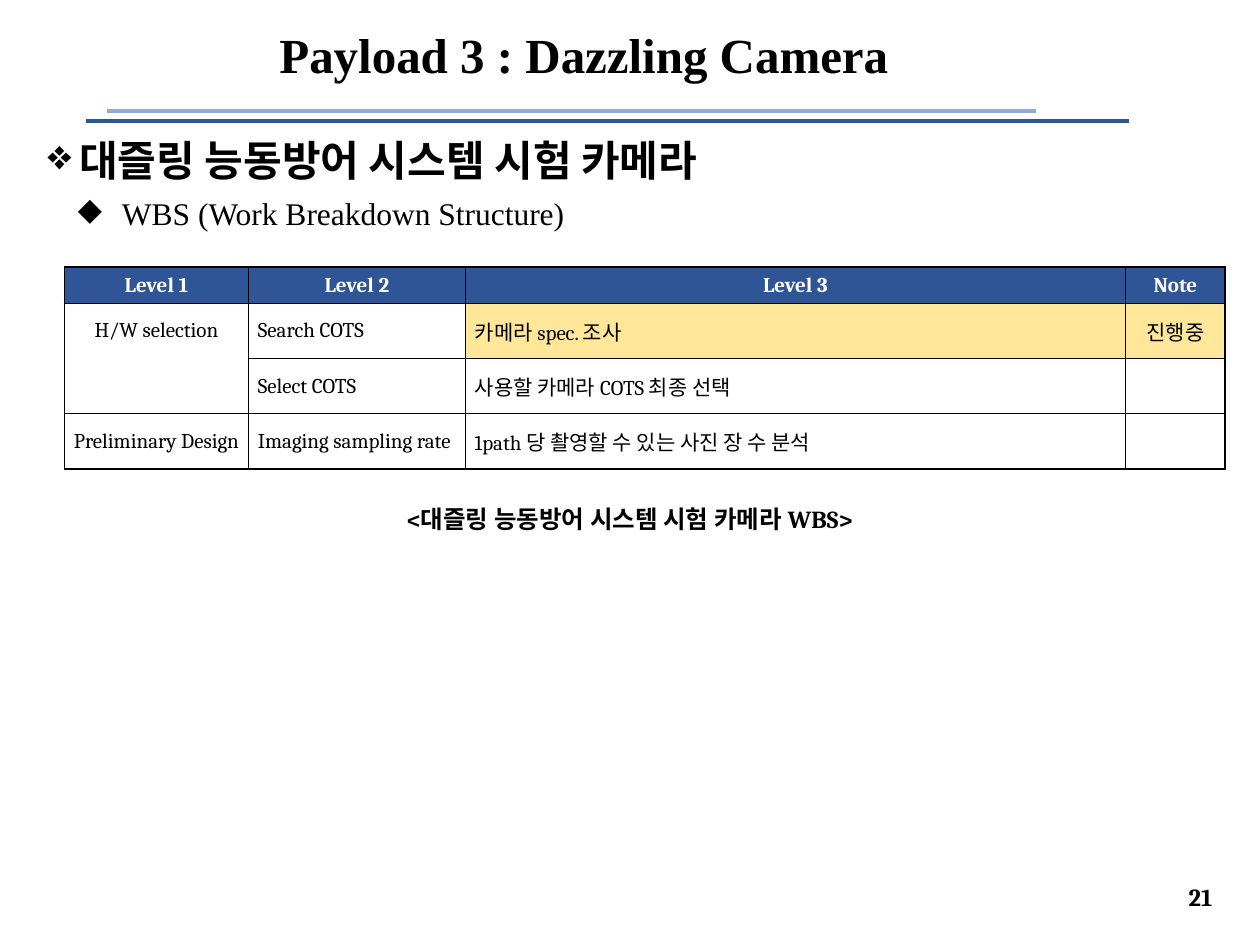
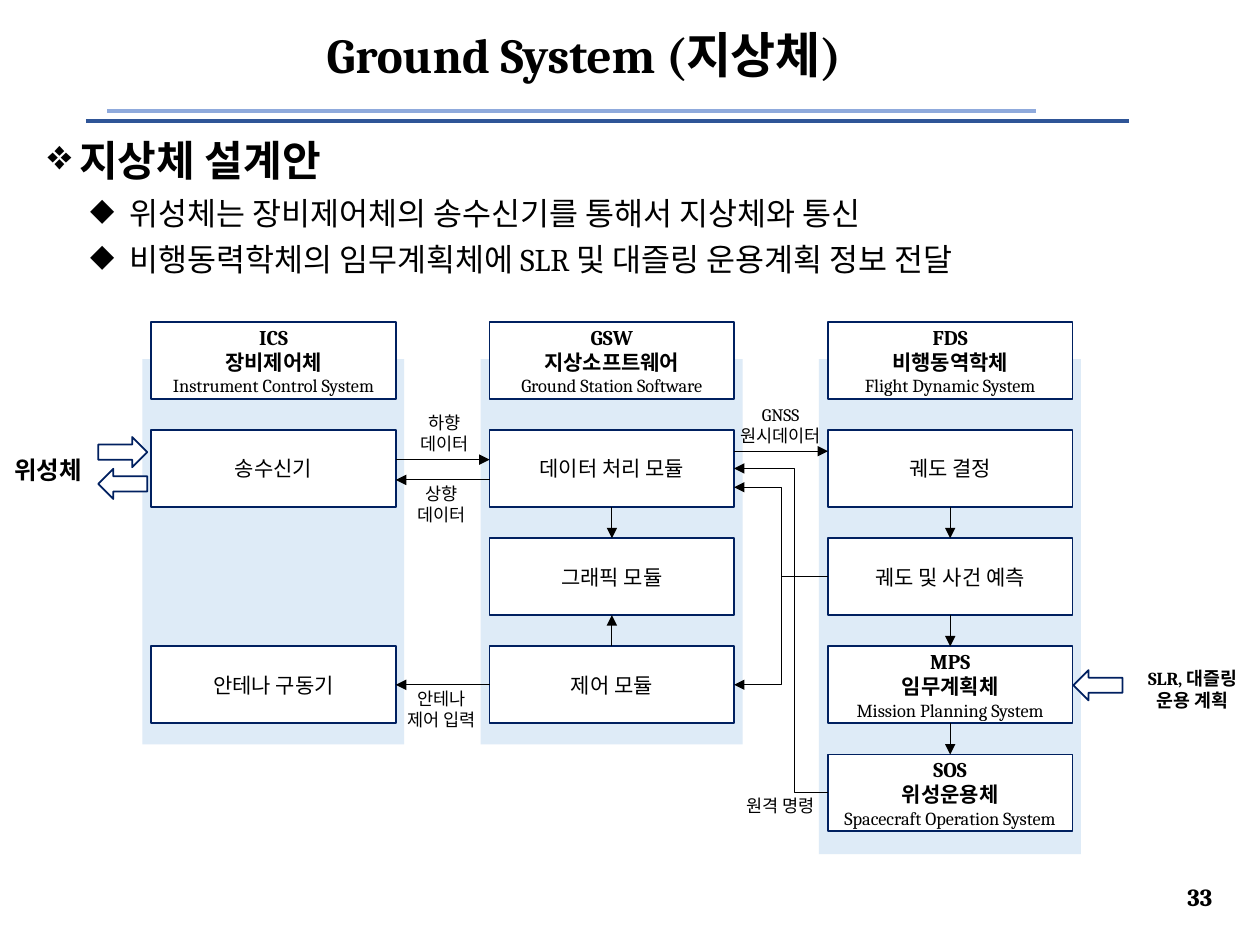
"""Build a camera work-breakdown slide and a ground-system diagram slide."""
import pptx
import pptx.dml.color
import pptx.enum.shapes
import pptx.enum.text
import pptx.oxml
import pptx.oxml.ns
import pptx.util

Cm, Pt = pptx.util.Cm, pptx.util.Pt
RGBColor = pptx.dml.color.RGBColor
SHAPE = pptx.enum.shapes.MSO_SHAPE
CONNECTOR = pptx.enum.shapes.MSO_CONNECTOR
ANCHOR = pptx.enum.text.MSO_ANCHOR
ALIGN = pptx.enum.text.PP_ALIGN

BLACK = RGBColor(0x00, 0x00, 0x00)
WHITE = RGBColor(0xFF, 0xFF, 0xFF)
BLUE = RGBColor(0x2F, 0x55, 0x97)
LIGHT_BLUE = RGBColor(0x8F, 0xAA, 0xDC)
PALE_BLUE = RGBColor(0xDE, 0xEB, 0xF7)
NAVY = RGBColor(0x00, 0x20, 0x60)
YELLOW = RGBColor(0xFF, 0xE6, 0x99)
SERIF, TIMES = "Cambria", "Times New Roman"

CAMERA = {
    "title": "Payload 3 : Dazzling Camera", "font": TIMES, "number": "21",
    "heading": "대즐링 능동방어 시스템 시험 카메라",
    "points": ["WBS (Work Breakdown Structure)"], "indent": (1.5, -0.89),
}
GROUND = {
    "title": "Ground System (지상체)", "font": SERIF, "number": "33",
    "heading": "지상체 설계안",
    "points": ["위성체는 장비제어체의 송수신기를 통해서 지상체와 통신",
               "비행동력학체의 임무계획체에 SLR 및 대즐링 운용계획 정보 전달"],
    "indent": (1.65, -0.79),
}
TITLE_RULES = [(1.73, 22.76, 2.44, BLUE), (2.16, 20.88, 2.24, LIGHT_BLUE)]

WBS = [
    ["Level 1", "Level 2", "Level 3", "Note"],
    ["H/W selection", "Search COTS", "카메라 spec. 조사", "진행중"],
    ["", "Select COTS", "사용할 카메라 COTS 최종 선택", ""],
    ["Preliminary Design", "Imaging sampling rate", "1path 당 촬영할 수 있는 사진 장 수 분석", ""],
]
WBS_CAPTION = "<대즐링 능동방어 시스템 시험 카메라 WBS>"
WBS_WIDTHS = [3.71, 4.37, 13.31, 2.01]
WBS_HEIGHTS = [0.74, 1.11, 1.11, 1.11]
IN_PROGRESS = {(1, 2), (1, 3)}
OPEN_EDGES = {(1, 0): "B", (2, 0): "T"}

PANEL_HEIGHTS = [7.77, 7.77, 9.98]
SYSTEMS = {
    (0, 0): ["ICS", "장비제어체", "Instrument Control System"],
    (1, 0): ["GSW", "지상소프트웨어", "Ground Station Software"],
    (2, 0): ["FDS", "비행동역학체", "Flight Dynamic System"],
    (2, 3): ["MPS", "임무계획체", "Mission Planning System"],
    (2, 4): ["SOS", "위성운용체", "Spacecraft Operation System"],
}
MODULES = {
    (0, 1): "송수신기", (0, 3): "안테나 구동기",
    (1, 1): "데이터 처리 모듈", (1, 2): "그래픽 모듈", (1, 3): "제어 모듈",
    (2, 1): "궤도 결정", (2, 2): "궤도 및 사건 예측",
}
VERTICAL_FLOWS = [(1, 1, 2), (1, 3, 2), (2, 1, 2), (2, 2, 3), (2, 3, 4)]
SIDE_FLOWS = [
    ((0, 1, -0.18), (1, 1, -0.18), None),
    ((1, 1, 0.23), (0, 1, 0.23), None),
    ((1, 1, -0.35), (2, 1, -0.35), None),
    ((1, 3, 0), (0, 3, 0), None),
    ((2, 2, 0), (1, 1, 0.38), 50000),
    ((2, 2, 0), (1, 3, 0), 50000),
    ((2, 4, 0), (1, 1, 0), 35100),
]
FLOW_LABELS = [
    (8.03, 8.31, ["하향", "데이터"]),
    (7.98, 9.73, ["상향", "데이터"]),
    (7.98, 13.87, ["안테나", "제어 입력"]),
    (14.81, 8.15, ["GNSS", "원시데이터"]),
    (14.81, 16.03, ["원격 명령"]),
]
BLOCK_ARROWS = [(1.98, 8.81, SHAPE.RIGHT_ARROW), (1.98, 9.45, SHAPE.LEFT_ARROW),
                (21.64, 13.51, SHAPE.LEFT_ARROW)]
BOX_WIDTH, BOX_HEIGHT = 4.93, 1.55


def box_left(column):
    return 3.05 + 6.82 * column


def box_top(row):
    return 6.49 + 2.18 * row


def add_xml(parent, tag, **attributes):
    element = pptx.oxml.parse_xml(f"<a:{tag} {pptx.oxml.ns.nsdecls('a')}/>")
    for name, value in attributes.items():
        element.set(name, str(value))
    parent.append(element)
    return element


def set_font(paragraph, size, bold=False, name=SERIF, color=BLACK):
    font = paragraph.font
    font.name, font.size, font.bold = name, Pt(size), bold
    font.color.rgb = color


def write_lines(frame, lines, sizes, bolds, align=ALIGN.CENTER):
    frame.word_wrap = True
    for index, (line, size, bold) in enumerate(zip(lines, sizes, bolds)):
        paragraph = frame.add_paragraph() if index else frame.paragraphs[0]
        paragraph.text = line
        paragraph.alignment = align
        set_font(paragraph, size, bold)


def add_label(slide, box, lines, size, bold=False, align=ALIGN.CENTER, tight=True):
    frame = slide.shapes.add_textbox(*map(Cm, box)).text_frame
    if tight:
        frame.margin_left = frame.margin_right = frame.margin_top = frame.margin_bottom = 0
    else:
        frame.vertical_anchor = ANCHOR.MIDDLE
    write_lines(frame, lines, [size] * len(lines), [bold] * len(lines), align)


def add_shape(slide, kind, box, fill, line=None):
    shape = slide.shapes.add_shape(kind, *map(Cm, box))
    shape.shadow.inherit = False
    shape.fill.solid()
    shape.fill.fore_color.rgb = fill
    if line is None:
        shape.line.fill.background()
    else:
        shape.line.color.rgb = line
        shape.line.width = Pt(1)
    return shape


def add_line(slide, start, end, color, width, arrow=False, bend=None):
    kind = CONNECTOR.ELBOW if bend else CONNECTOR.STRAIGHT
    connector = slide.shapes.add_connector(kind, *map(Cm, (*start, *end)))
    connector.line.color.rgb = color
    connector.line.width = Pt(width)
    properties = connector._element.spPr
    if arrow:
        add_xml(properties.find(pptx.oxml.ns.qn("a:ln")), "tailEnd", type="triangle")
    if bend:
        guides = next(properties.iter(pptx.oxml.ns.qn("a:avLst")))
        add_xml(guides, "gd", name="adj1", fmla=f"val {bend}")
    add_xml(properties, "effectLst")


def add_bullets(slide, content):
    frame = slide.shapes.add_textbox(Cm(0.71), Cm(2.59), Cm(23.98), Cm(14.94)).text_frame
    frame.word_wrap = True
    items = [(content["heading"], 0, "❖", (0.64, -0.99), 24)]
    items += [(point, 1, "◆", content["indent"], 18) for point in content["points"]]
    for index, (text, level, bullet, (margin, indent), size) in enumerate(items):
        paragraph = frame.add_paragraph() if index else frame.paragraphs[0]
        paragraph.text = text
        paragraph.level = level
        if index:
            paragraph.space_before = Pt(5)
        properties = paragraph._p.get_or_add_pPr()
        properties.set("marL", str(Cm(margin)))
        properties.set("indent", str(Cm(indent)))
        add_xml(properties, "buChar", char=bullet)
        set_font(paragraph, size, level == 0, content["font"])


def start_slide(presentation, content):
    slide = presentation.slides.add_slide(presentation.slide_layouts[5])
    title = slide.shapes.title
    title.left, title.top, title.width, title.height = map(Cm, (2.46, 0.2, 18.62, 1.91))
    frame = title.text_frame
    frame.text = content["title"]
    frame.auto_size = pptx.enum.text.MSO_AUTO_SIZE.NONE
    frame.vertical_anchor = ANCHOR.MIDDLE
    paragraph = frame.paragraphs[0]
    paragraph.alignment = ALIGN.CENTER
    paragraph.line_spacing = 0.9
    set_font(paragraph, 28, True, content["font"])
    for left, right, height, color in TITLE_RULES:
        add_line(slide, (left, height), (right, height), color, 2.25)
    add_label(slide, (21.97, 17.58, 2.72, 0.99), [content["number"]], 14, True,
              ALIGN.RIGHT, tight=False)
    add_bullets(slide, content)
    return slide


def set_borders(cell, open_edge):
    properties = cell._tc.get_or_add_tcPr()
    position = 0
    for edge in "LRTB":
        if edge == open_edge:
            border = add_xml(properties, f"ln{edge}", w=0)
            add_xml(border, "noFill")
        else:
            border = add_xml(properties, f"ln{edge}", w=Pt(1))
            add_xml(add_xml(border, "solidFill"), "srgbClr", val=BLACK)
        properties.insert(position, border)
        position += 1


def add_wbs_table(slide):
    table = slide.shapes.add_table(len(WBS), len(WBS[0]), Cm(1.3), Cm(5.38),
                                   Cm(sum(WBS_WIDTHS)), Cm(sum(WBS_HEIGHTS))).table
    table.horz_banding = False
    for column, width in zip(table.columns, WBS_WIDTHS):
        column.width = Cm(width)
    for row_index, (row, height) in enumerate(zip(WBS, WBS_HEIGHTS)):
        table.rows[row_index].height = Cm(height)
        for column_index, text in enumerate(row):
            place = (row_index, column_index)
            header = row_index == 0
            cell = table.cell(*place)
            cell.text = text
            cell.vertical_anchor = ANCHOR.MIDDLE
            cell.margin_top = cell.margin_bottom = Cm(0.1)
            side = 0.1 if header or column_index == 0 else 0.19
            cell.margin_left = cell.margin_right = Cm(side)
            cell.fill.solid()
            cell.fill.fore_color.rgb = BLUE if header else YELLOW if place in IN_PROGRESS else WHITE
            paragraph = cell.text_frame.paragraphs[0]
            centred = header or column_index in (0, 3)
            paragraph.alignment = ALIGN.CENTER if centred else ALIGN.LEFT
            set_font(paragraph, 12, header, color=WHITE if header else BLACK)
            set_borders(cell, OPEN_EDGES.get(place))


def build_camera_slide(presentation):
    slide = start_slide(presentation, CAMERA)
    add_wbs_table(slide)
    add_label(slide, (5.99, 10.03, 13.41, 0.86), [WBS_CAPTION], 14, True, tight=False)


def add_box(slide, place, lines, sizes, bolds):
    column, row = place
    box = (box_left(column), box_top(row), BOX_WIDTH, BOX_HEIGHT)
    frame = add_shape(slide, SHAPE.RECTANGLE, box, WHITE, NAVY).text_frame
    frame.vertical_anchor = ANCHOR.MIDDLE
    write_lines(frame, lines, sizes, bolds)


def side_point(end, other):
    column, row, offset = end
    edge = BOX_WIDTH if other[0] > column else 0
    return box_left(column) + edge, box_top(row) + BOX_HEIGHT / 2 + offset


def build_ground_slide(presentation):
    slide = start_slide(presentation, GROUND)
    for column, height in enumerate(PANEL_HEIGHTS):
        add_shape(slide, SHAPE.RECTANGLE, (box_left(column) - 0.18, 7.24, 5.28, height), PALE_BLUE)
    for place, lines in SYSTEMS.items():
        add_box(slide, place, lines, [12, 12, 10.5], [True, True, False])
    for place, text in MODULES.items():
        add_box(slide, place, [text], [12], [False])
    for column, first, last in VERTICAL_FLOWS:
        center = box_left(column) + BOX_WIDTH / 2
        start = box_top(first) + (BOX_HEIGHT if last > first else 0)
        end = box_top(last) + (BOX_HEIGHT if first > last else 0)
        add_line(slide, (center, start), (center, end), BLACK, 0.5, arrow=True)
    for source, target, bend in SIDE_FLOWS:
        add_line(slide, side_point(source, target), side_point(target, source),
                 BLACK, 0.5, arrow=True, bend=bend)
    for left, top, kind in BLOCK_ARROWS:
        add_shape(slide, kind, (left, top, 0.99, 0.61), WHITE, NAVY)
    for left, top, lines in FLOW_LABELS:
        add_label(slide, (left, top, 1.85, 0.43 * len(lines)), lines, 10)
    add_label(slide, (0.05, 9.17, 1.85, 0.61), ["위성체"], 14, True)
    add_label(slide, (22.68, 13.44, 2.72, 0.89), ["SLR, 대즐링", "운용 계획"], 10.5, True)


def main():
    presentation = pptx.Presentation()
    presentation.slide_width, presentation.slide_height = Cm(25.4), Cm(19.05)
    build_camera_slide(presentation)
    build_ground_slide(presentation)
    presentation.save("out.pptx")


if __name__ == "__main__":
    main()
